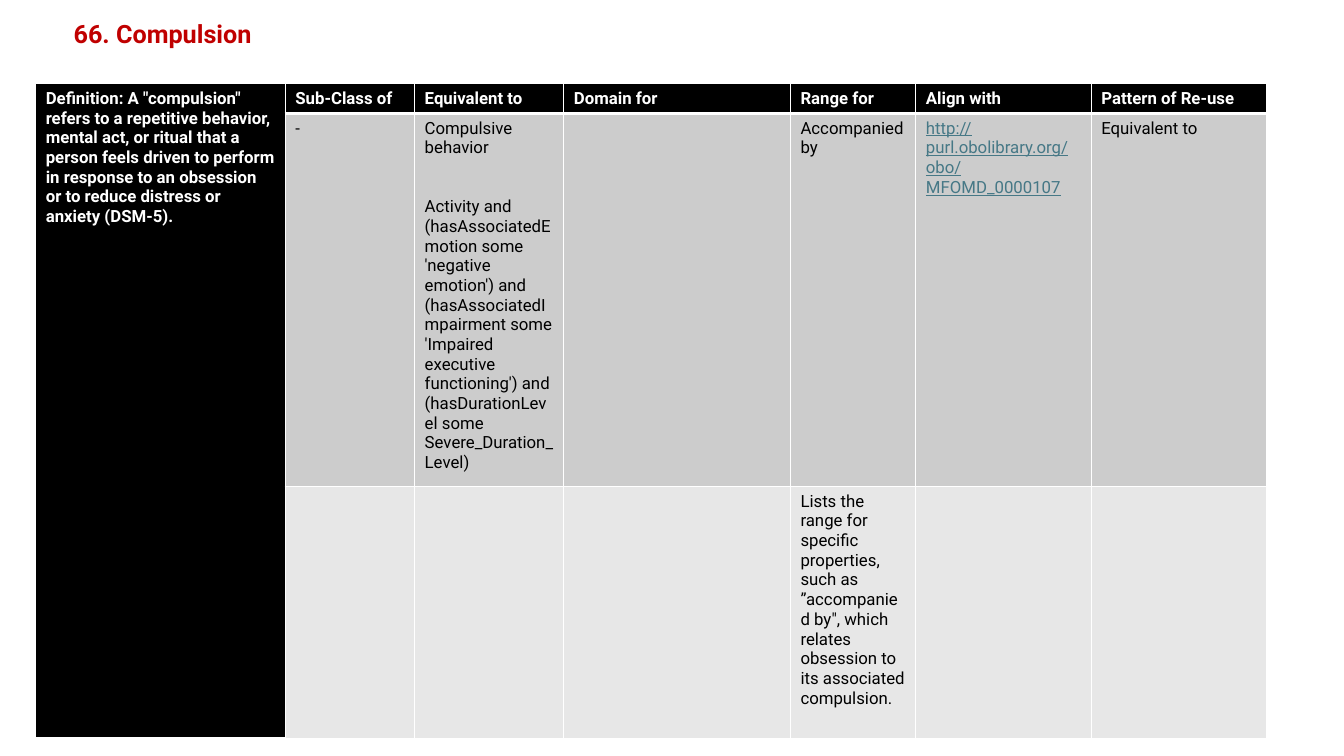
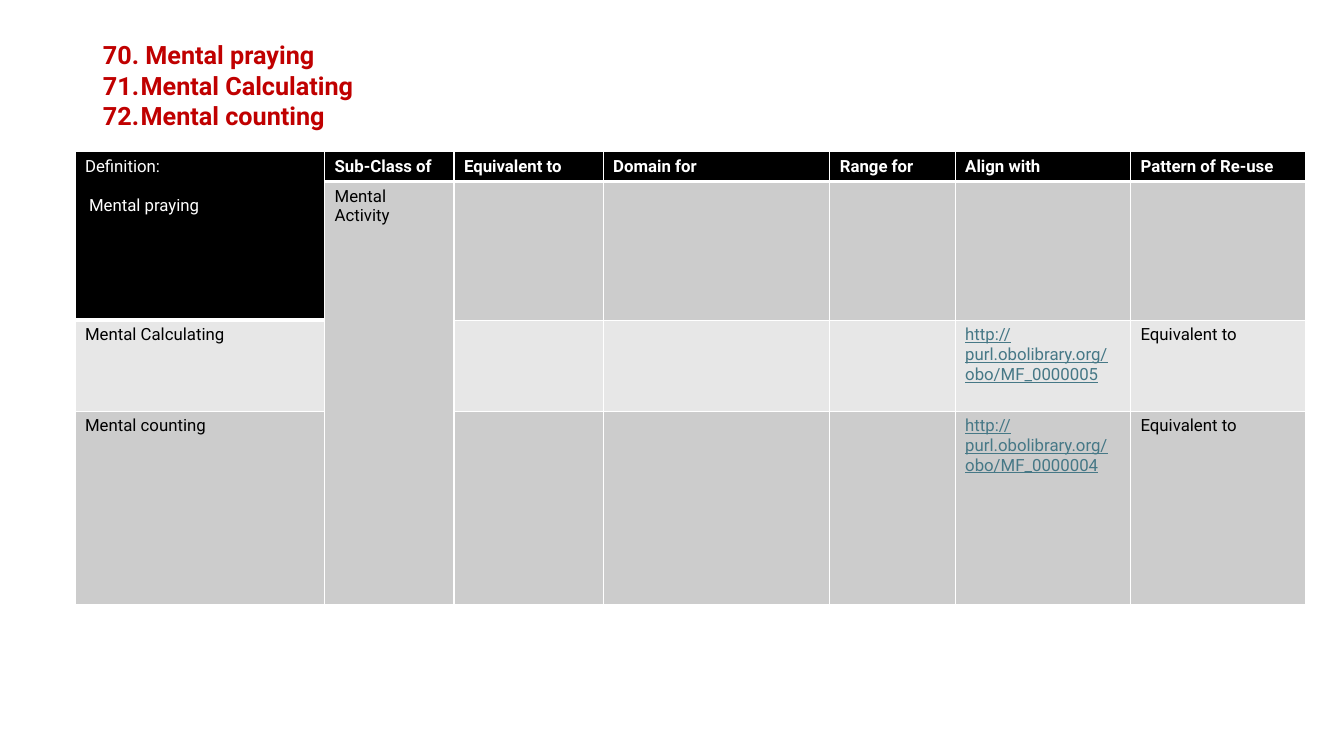
from lxml import etree
from pptx import Presentation
from pptx.dml.color import RGBColor
from pptx.enum.text import MSO_ANCHOR, MSO_AUTO_SIZE, PP_ALIGN
from pptx.oxml.ns import qn
from pptx.util import Cm, Pt

TOP = MSO_ANCHOR.TOP
NO_FIT = MSO_AUTO_SIZE.NONE
LEFT = PP_ALIGN.LEFT

FONT = "Roboto"
RED = RGBColor(0xC0, 0x00, 0x00)
BLACK = RGBColor(0x00, 0x00, 0x00)
WHITE = RGBColor(0xFF, 0xFF, 0xFF)
DARK_BAND = RGBColor(0xCC, 0xCC, 0xCC)
LIGHT_BAND = RGBColor(0xE7, 0xE7, 0xE7)
LINK = RGBColor(0x46, 0x78, 0x86)

TITLE_ONLY = 5
COLUMN_WIDTHS = [6.29, 3.26, 3.76, 5.71, 3.16, 4.42, 4.42]
HEADERS = ["Sub-Class of", "Equivalent to", "Domain for", "Range for",
           "Align with", "Pattern of Re-use"]
SUB_CLASS, EQUIVALENT, DOMAIN, RANGE, ALIGN, REUSE = range(1, 7)

SLIDES = [
    {
        "title": ["66. Compulsion"],
        "title_box": (1.6, 0.33, 17, 1.02),
        "table_at": (0.9, 2.11),
        "row_heights": [0.75, 9.4, 6.35],
        "definition": ['Definition: A "compulsion" refers to a repetitive behavior, '
                       "mental act, or ritual that a person feels driven to perform "
                       "in response to an obsession or to reduce distress or anxiety "
                       "(DSM-5)."],
        "definition_rows": 3,
        "definition_bold": True,
        "sub_class_rows": 1,
        "cells": {
            (1, SUB_CLASS): ["-"],
            (1, EQUIVALENT): [
                "Compulsive behavior",
                ("Activity and (hasAssociatedEmotion some 'negative emotion') and "
                 "(hasAssociatedImpairment some 'Impaired executive functioning') and "
                 "(hasDurationLevel some Severe_Duration_Level)", 28, 0)],
            (1, RANGE): ["Accompanied by"],
            (1, ALIGN): ["http://purl.obolibrary.org/obo/MFOMD_0000107"],
            (1, REUSE): ["Equivalent to"],
            (2, RANGE): ["Lists the range for specific properties, such as "
                         "”accompanied by\", which relates obsession to its "
                         "associated compulsion."],
        },
    },
    {
        "title": ["70. Mental praying", (71, "Mental Calculating"),
                  (71, "Mental counting")],
        "title_box": (2.34, 0.87, 17, 2.7),
        "table_at": (1.89, 3.82),
        "row_heights": [0.75, 3.5, 2.29, 4.88],
        "definition": ["Definition:", ("Mental praying", 14, 0.1)],
        "definition_rows": 2,
        "definition_bold": False,
        "sub_class_rows": 3,
        "cells": {
            (1, SUB_CLASS): ["Mental Activity"],
            (2, 0): ["Mental Calculating"],
            (2, ALIGN): ["http://purl.obolibrary.org/obo/MF_0000005"],
            (2, REUSE): ["Equivalent to"],
            (3, 0): ["Mental counting"],
            (3, ALIGN): ["http://purl.obolibrary.org/obo/MF_0000004"],
            (3, REUSE): ["Equivalent to"],
        },
    },
]


def paragraph(tf, index):
    return tf.paragraphs[0] if index == 0 else tf.add_paragraph()


def add_run(p, text, size, color, bold):
    r = p.add_run()
    r.text = text
    r.font.name = FONT
    r.font.size = Pt(size)
    r.font.bold = bold
    r.font.color.rgb = color
    return r


def number_paragraph(p, start):
    pPr = p._p.get_or_add_pPr()
    pPr.set("marL", str(Cm(0.95)))
    pPr.set("indent", str(Cm(-0.95)))
    etree.SubElement(pPr, qn("a:buFont"), typeface="+mj-lt")
    etree.SubElement(pPr, qn("a:buAutoNum"), type="arabicPeriod", startAt=str(start))


def add_title(s, lines, box):
    title = s.shapes.title
    title.left, title.top, title.width, title.height = map(Cm, box)
    tf = title.text_frame
    tf.word_wrap = True
    tf.auto_size = NO_FIT
    tf.vertical_anchor = TOP
    for i, line in enumerate(lines):
        p = paragraph(tf, i)
        p.alignment = LEFT
        if isinstance(line, tuple):
            start, line = line
            number_paragraph(p, start)
        add_run(p, line, 18, RED, True)


def set_borders(cell, top, bottom):
    tcPr = cell._tc.get_or_add_tcPr()
    sides = [("a:lnL", 1), ("a:lnR", 1), ("a:lnT", top), ("a:lnB", bottom)]
    for i, (tag, points) in enumerate(sides):
        ln = etree.Element(qn(tag), w=str(Pt(points)))
        fill = etree.SubElement(ln, qn("a:solidFill"))
        etree.SubElement(fill, qn("a:srgbClr"), val=str(WHITE))
        tcPr.insert(i, ln)


def fill_cell(cell, lines, color, bold):
    for i, line in enumerate(lines):
        text, before, indent = line if isinstance(line, tuple) else (line, 0, 0)
        p = paragraph(cell.text_frame, i)
        if before:
            p.space_before = Pt(before)
        if indent:
            p._p.get_or_add_pPr().set("marL", str(Cm(indent)))
        is_link = text.startswith("http")
        r = add_run(p, text, 12, LINK if is_link else color, bold)
        if is_link:
            r.font.underline = True


def add_class_table(s, data):
    heights = data["row_heights"]
    left, top = data["table_at"]
    frame = s.shapes.add_table(len(heights), len(COLUMN_WIDTHS), Cm(left), Cm(top),
                               Cm(sum(COLUMN_WIDTHS)), Cm(sum(heights)))
    table = frame.table
    for column, width in zip(table.columns, COLUMN_WIDTHS):
        column.width = Cm(width)
    for row, height in zip(table.rows, heights):
        row.height = Cm(height)

    contents = {(0, c): [name] for c, name in enumerate(HEADERS, 1)}
    contents[0, 0] = data["definition"]
    contents.update(data["cells"])
    definition_rows = data["definition_rows"]

    def is_black(r, c):
        return r == 0 or (c == 0 and 0 < r < definition_rows)

    for r in range(len(heights)):
        for c in range(len(COLUMN_WIDTHS)):
            cell = table.cell(r, c)
            black = is_black(r, c)
            cell.fill.solid()
            band = DARK_BAND if r % 2 else LIGHT_BAND
            cell.fill.fore_color.rgb = BLACK if black else band
            set_borders(cell, 3 if r and is_black(r - 1, c) else 1, 3 if black else 1)
            bold = black and (c > 0 or data["definition_bold"])
            fill_cell(cell, contents.get((r, c), []), WHITE if black else BLACK, bold)

    table.cell(0, 0).merge(table.cell(definition_rows - 1, 0))
    if data["sub_class_rows"] > 1:
        table.cell(1, SUB_CLASS).merge(table.cell(data["sub_class_rows"], SUB_CLASS))


def main():
    prs = Presentation()
    prs.slide_width, prs.slide_height = Cm(33.87), Cm(19.05)
    for data in SLIDES:
        s = prs.slides.add_slide(prs.slide_layouts[TITLE_ONLY])
        add_title(s, data["title"], data["title_box"])
        add_class_table(s, data)
    prs.save("out.pptx")


if __name__ == "__main__":
    main()
